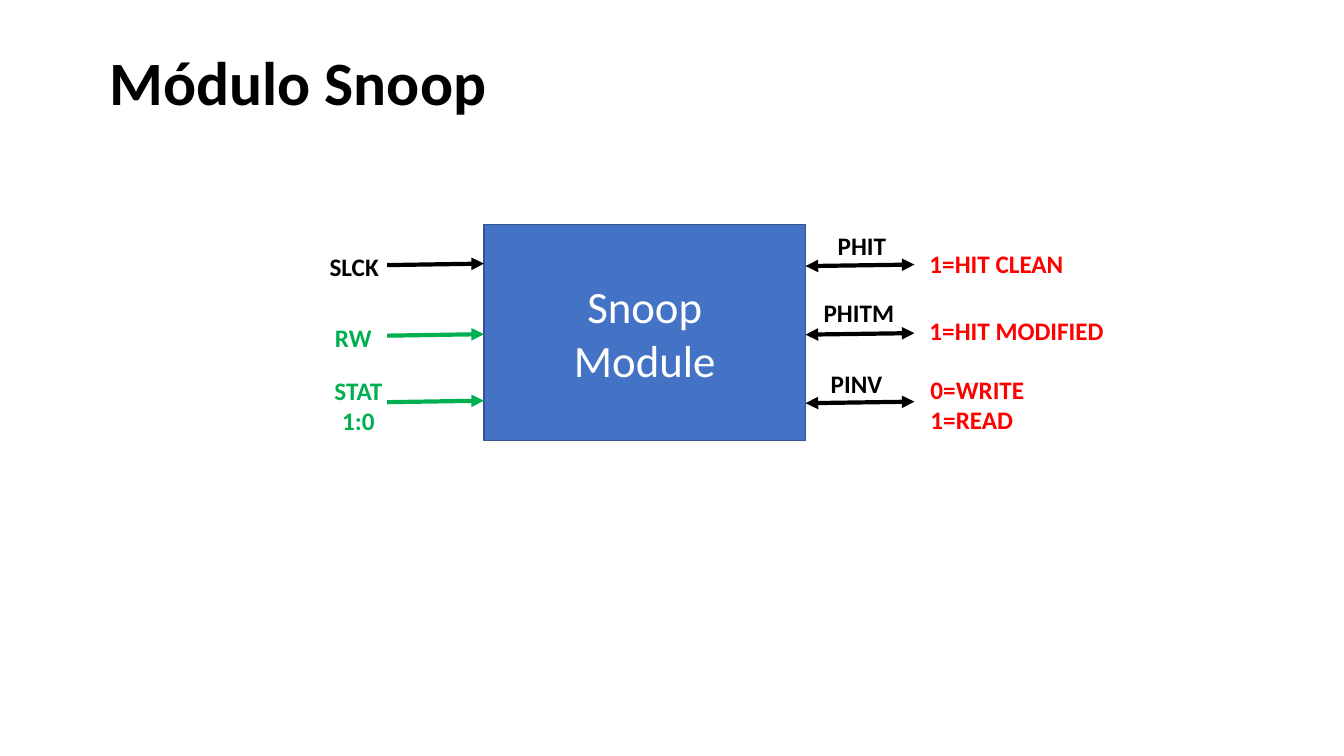
from lxml.etree import SubElement
from pptx import Presentation
from pptx.dml.color import RGBColor as Rgb
from pptx.enum.shapes import MSO_CONNECTOR as Link, MSO_SHAPE as Form
from pptx.enum.text import MSO_ANCHOR as Anchor, PP_ALIGN as Align
from pptx.oxml.ns import qn
from pptx.util import Inches, Pt

COLORS = {"black": "000000", "white": "FFFFFF", "blue": "4472C4",
          "edge": "325491", "green": "00B050", "red": "FF0000"}


class Board:
    """Places elements on a grid of 0.1 inch columns and rows."""
    font = "Calibri"
    cell = 0.1

    def __init__(self, deck):
        self.slide = deck.slides.add_slide(deck.slide_layouts[6])
        self.shapes = self.slide.shapes

    def grid(self, *cells):
        return [Inches(n * self.cell) for n in cells]

    def color(self, name):
        return Rgb.from_string(COLORS[name])

    def letter(self, frame, lines, size, color, bold, align):
        frame.word_wrap = True
        for i, line in enumerate(lines):
            para = frame.paragraphs[0] if i == 0 else frame.add_paragraph()
            para.alignment = align
            run = para.add_run()
            run.text = line
            font = run.font
            font.name, font.size, font.bold = self.font, Pt(size), bold
            font.color.rgb = self.color(color)

    def text(self, at, lines, color="black", size=18, align=Align.LEFT):
        frame = self.shapes.add_textbox(*self.grid(*at)).text_frame
        frame.vertical_anchor = Anchor.TOP
        self.letter(frame, lines, size, color, True, align)

    def block(self, at, lines):
        box = self.shapes.add_shape(Form.RECTANGLE, *self.grid(*at))
        box.shadow.inherit = False
        box.fill.solid()
        box.fill.fore_color.rgb = self.color("blue")
        box.line.color.rgb = self.color("edge")
        box.line.width = Pt(1)
        box.text_frame.vertical_anchor = Anchor.MIDDLE
        self.letter(box.text_frame, lines, 32, "white", False, Align.CENTER)

    def arrow(self, start, end, color="black", both=False):
        link = self.shapes.add_connector(
            Link.STRAIGHT, *self.grid(*start, *end))
        link.line.color.rgb = self.color(color)
        link.line.width = Pt(3)
        props = link._element.spPr
        line = props.find(qn("a:ln"))
        for tip in ("a:headEnd", "a:tailEnd")[0 if both else 1:]:
            SubElement(line, qn(tip), type="triangle")
        SubElement(props, qn("a:effectLst"))


deck = Presentation()
deck.slide_width, deck.slide_height = Inches(13.33), Inches(7.5)
board = Board(deck)

# Title
board.text((9.9, 3.9, 108, 8.4), ["Módulo Snoop"], size=44)

# Module
left, right = 48, 79.9
board.block((left, 22.3, right - left, 21.4), ["Snoop", "Module"])

# Inputs: arrow row, label column and row, lines, color
TILT = 0.15
inputs = [
    (26.3, 31.7, 24.4, ["SLCK"], "black", Align.LEFT),
    (33.3, 31.2, 31.5, ["RW"], "green", Align.CENTER),
    (39.9, 31.7, 36.7, ["STAT", "1:0"], "green", Align.CENTER),
]
for row, col, top, lines, color, align in inputs:
    board.arrow((38.4, row), (left, row - TILT), color)
    board.text((col, top, 7.7, 1 + 3 * len(lines)), lines, color, align=align)

# Two-way signals: arrow row, name with its place, meaning with its place
signals = [
    (26.4, "PHIT", 82.1, 22.4, ["1=HIT CLEAN"], 91.2, 24.1),
    (33.2, "PHITM", 80.7, 29, ["1=HIT MODIFIED"], 91.2, 30.8),
    (40, "PINV", 81.4, 36, ["0=WRITE", "1=READ"], 91.3, 36.6),
]
for row, name, col, top, notes, side, head in signals:
    board.arrow((right, row), (90.7, row - TILT), both=True)
    board.text((col, top, 10.5, 4), [name])
    board.text((side, head, 22.5, 1 + 3 * len(notes)), notes, "red")

deck.save("out.pptx")
